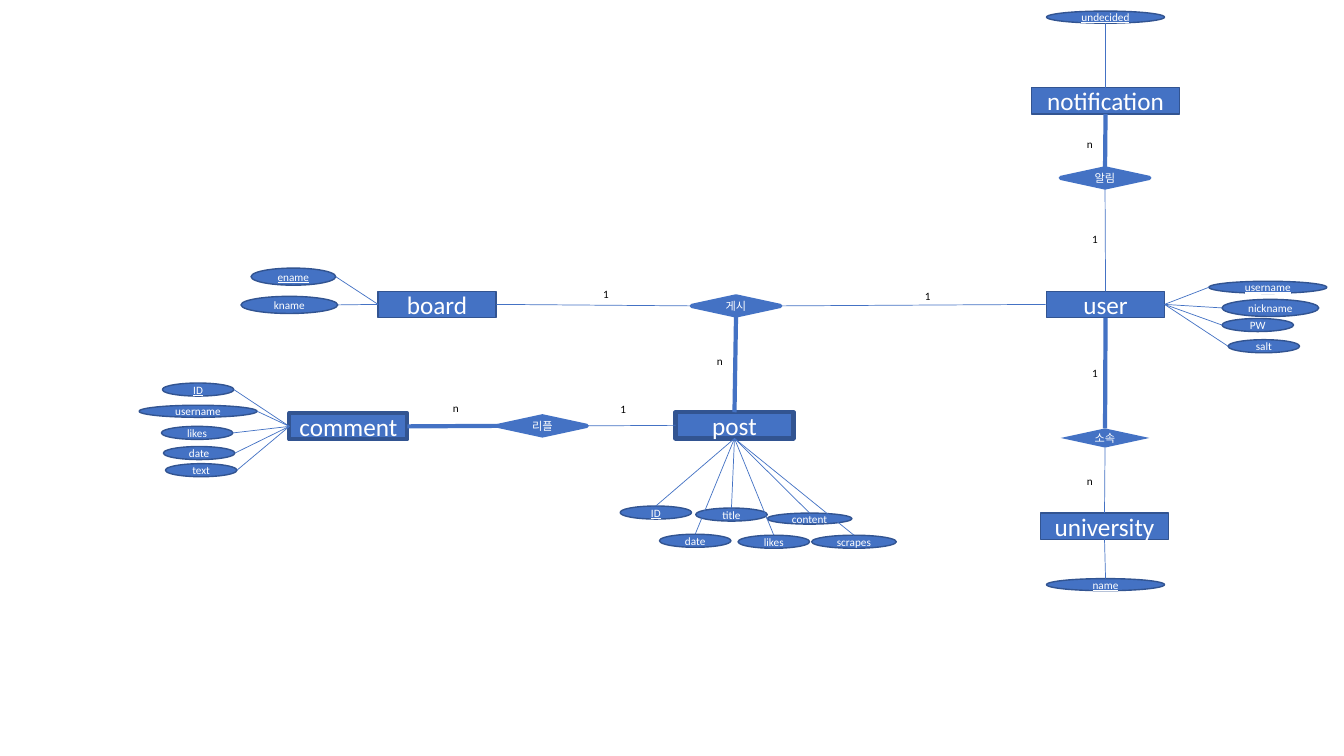
from pptx import Presentation
from pptx.dml.color import RGBColor
from pptx.enum.shapes import MSO_CONNECTOR, MSO_SHAPE
from pptx.enum.text import MSO_ANCHOR, PP_ALIGN
from pptx.oxml.ns import qn
from pptx.util import Inches, Pt
from lxml import etree

COLORS = {"fill": "4472C4", "edge": "325491", "light": "FFFFFF", "dark": "000000"}
THIN, EDGE, THICK = 0.5, 1, 3

# name: left, top, width, outline
ENTITIES = {
    "user": (10.38, 2.89, 1.17, EDGE),
    "university": (10.32, 5.09, 1.27, EDGE),
    "board": (3.75, 2.89, 1.17, EDGE),
    "post": (6.7, 4.09, 1.17, THICK),
    "comment": (2.87, 4.1, 1.17, THICK),
    "notification": (10.23, 0.87, 1.47, EDGE),
}

# name: left, top, outline
RELATIONS = {
    "소속": (10.52, 4.25, 0),
    "게시": (6.86, 2.94, THICK),
    "리플": (4.94, 4.13, THICK),
    "알림": (10.52, 1.67, THICK),
}

# entity, its side, attribute side, attributes (name, left, top, width, height, is key)
ATTRIBUTES = [
    ("user", "right", "left", [
        ("username", 11.99, 2.79, 1.17, 0.12, True),
        ("nickname", 12.12, 2.97, 0.96, 0.17, False),
        ("PW", 12.12, 3.16, 0.71, 0.13, False),
        ("salt", 12.18, 3.37, 0.71, 0.13, False),
    ]),
    ("board", "left", "right", [
        ("ename", 2.49, 2.66, 0.84, 0.17, True),
        ("kname", 2.39, 2.94, 0.96, 0.17, False),
    ]),
    ("post", "bottom", "top", [
        ("ID", 6.15, 5.02, 0.71, 0.13, True),
        ("title", 6.9, 5.04, 0.71, 0.13, False),
        ("content", 7.61, 5.09, 0.84, 0.11, False),
        ("date", 6.54, 5.3, 0.71, 0.13, False),
        ("likes", 7.32, 5.31, 0.71, 0.13, False),
        ("scrapes", 8.05, 5.31, 0.84, 0.13, False),
    ]),
    ("comment", "left", "right", [
        ("ID", 1.61, 3.8, 0.71, 0.13, True),
        ("username", 1.38, 4.02, 1.17, 0.12, False),
        ("likes", 1.6, 4.23, 0.71, 0.13, False),
        ("date", 1.62, 4.43, 0.71, 0.13, False),
        ("text", 1.64, 4.6, 0.71, 0.13, False),
    ]),
    ("university", "bottom", "top", [("name", 10.38, 5.74, 1.17, 0.12, True)]),
    ("notification", "top", "bottom", [("undecided", 10.38, 0.11, 1.17, 0.12, True)]),
]

# entity, its side, relation, its side, weight, cardinality, label left, label top
LINKS = [
    ("user", "bottom", "소속", "top", THICK, "1", 10.8, 3.58),
    ("university", "top", "소속", "bottom", THIN, "n", 10.75, 4.65),
    ("board", "right", "게시", "left", THIN, "1", 5.95, 2.8),
    ("user", "left", "게시", "right", THIN, "1", 9.14, 2.82),
    ("post", "top", "게시", "bottom", THICK, "n", 7.08, 3.46),
    ("comment", "right", "리플", "left", THICK, "n", 4.46, 3.93),
    ("post", "left", "리플", "right", THIN, "1", 6.12, 3.94),
    ("notification", "bottom", "알림", "top", THICK, "n", 10.75, 1.31),
    ("user", "top", "알림", "bottom", THIN, "1", 10.8, 2.25),
]


def color(name):
    return RGBColor.from_string(COLORS[name])


def write(shape, text, size=8, ink="light", key=False):
    """Put one centred line of text in a shape; keys are underlined."""
    frame = shape.text_frame
    frame.word_wrap = False
    frame.margin_left = frame.margin_right = 0
    frame.vertical_anchor = MSO_ANCHOR.MIDDLE
    line = frame.paragraphs[0]
    line.alignment = PP_ALIGN.CENTER
    run = line.add_run()
    run.text = text
    font = run.font
    font.name, font.size = "Calibri", Pt(size)
    font.color.rgb = color(ink)
    if key:
        font.underline = True


def add_node(slide, kind, text, box, weight=EDGE, edge="edge", **style):
    node = slide.shapes.add_shape(kind, *map(Inches, box))
    node.shadow.inherit = False
    node.fill.solid()
    node.fill.fore_color.rgb = color("fill")
    if weight:
        node.line.color.rgb = color(edge)
        node.line.width = Pt(weight)
    else:
        node.line.fill.background()
    write(node, text, **style)
    return node


def middle(node, side):
    """Return the midpoint of one side of a node."""
    across = {"left": 0, "right": 2}.get(side, 1)
    down = {"top": 0, "bottom": 2}.get(side, 1)
    return node.left + node.width * across // 2, node.top + node.height * down // 2


def add_link(slide, start, start_side, end, end_side, weight=THIN):
    link = slide.shapes.add_connector(
        MSO_CONNECTOR.STRAIGHT, *middle(start, start_side), *middle(end, end_side))
    link.line.color.rgb = color("fill")
    link.line.width = Pt(weight)
    etree.SubElement(link._element.spPr, qn("a:effectLst"))


def add_label(slide, text, left, top):
    box = slide.shapes.add_textbox(*map(Inches, (left, top, 0.12, 0.24)))
    write(box, text, ink="dark")


def main():
    deck = Presentation()
    deck.slide_width, deck.slide_height = Inches(13.33), Inches(7.5)
    slide = deck.slides.add_slide(deck.slide_layouts[6])

    nodes = {}
    for name, (left, top, width, weight) in ENTITIES.items():
        nodes[name] = add_node(slide, MSO_SHAPE.RECTANGLE, name,
                               (left, top, width, 0.26), weight, size=18)
    for name, (left, top, weight) in RELATIONS.items():
        nodes[name] = add_node(slide, MSO_SHAPE.DIAMOND, name,
                               (left, top, 0.88, 0.19), weight, edge="fill")

    for entity, side, near, items in ATTRIBUTES:
        for name, *box, key in items:
            oval = add_node(slide, MSO_SHAPE.OVAL, name, box, key=key)
            add_link(slide, oval, near, nodes[entity], side)

    for entity, side, relation, near, weight, count, left, top in LINKS:
        add_link(slide, nodes[entity], side, nodes[relation], near, weight)
        add_label(slide, count, left, top)

    deck.save("out.pptx")


if __name__ == "__main__":
    main()
